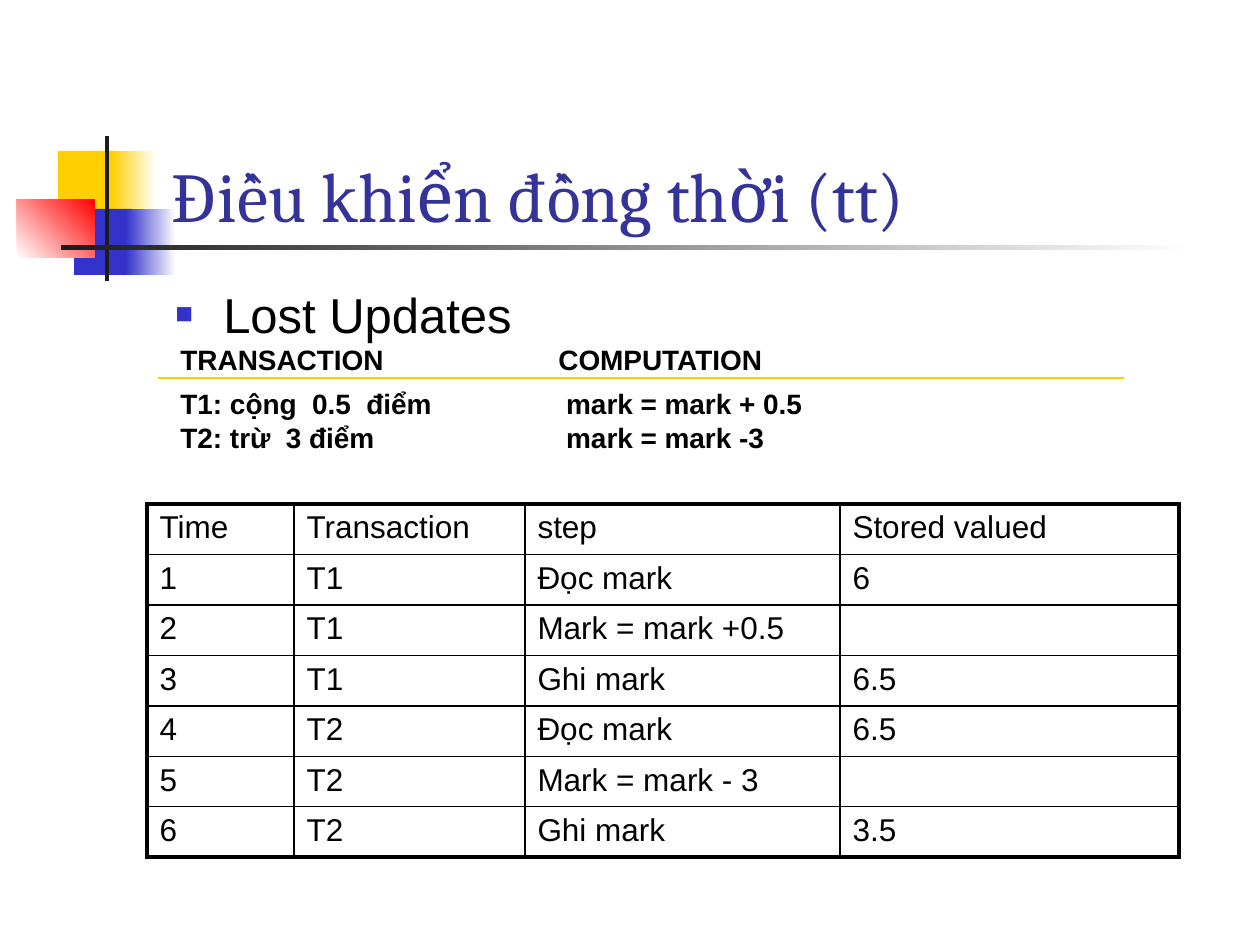
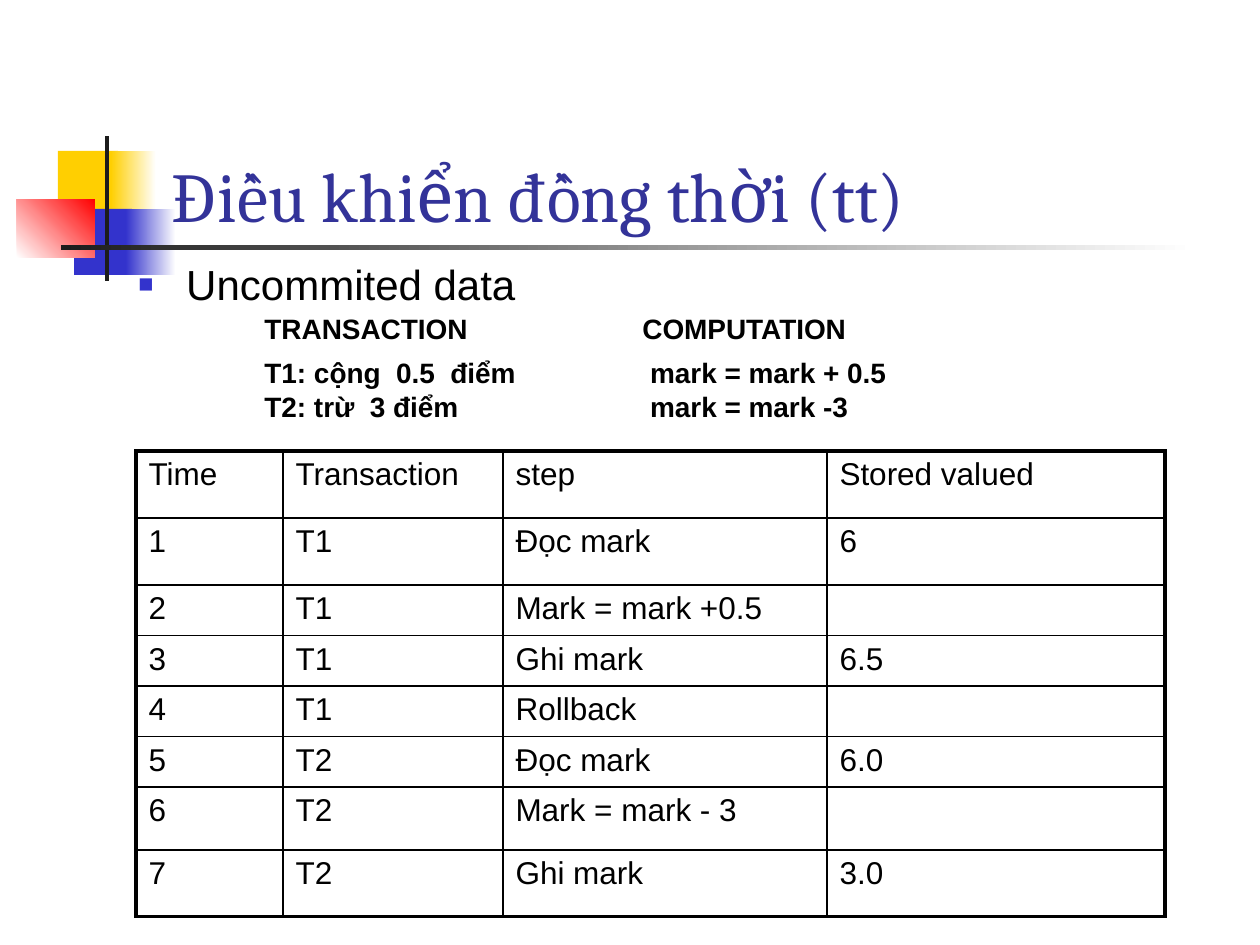
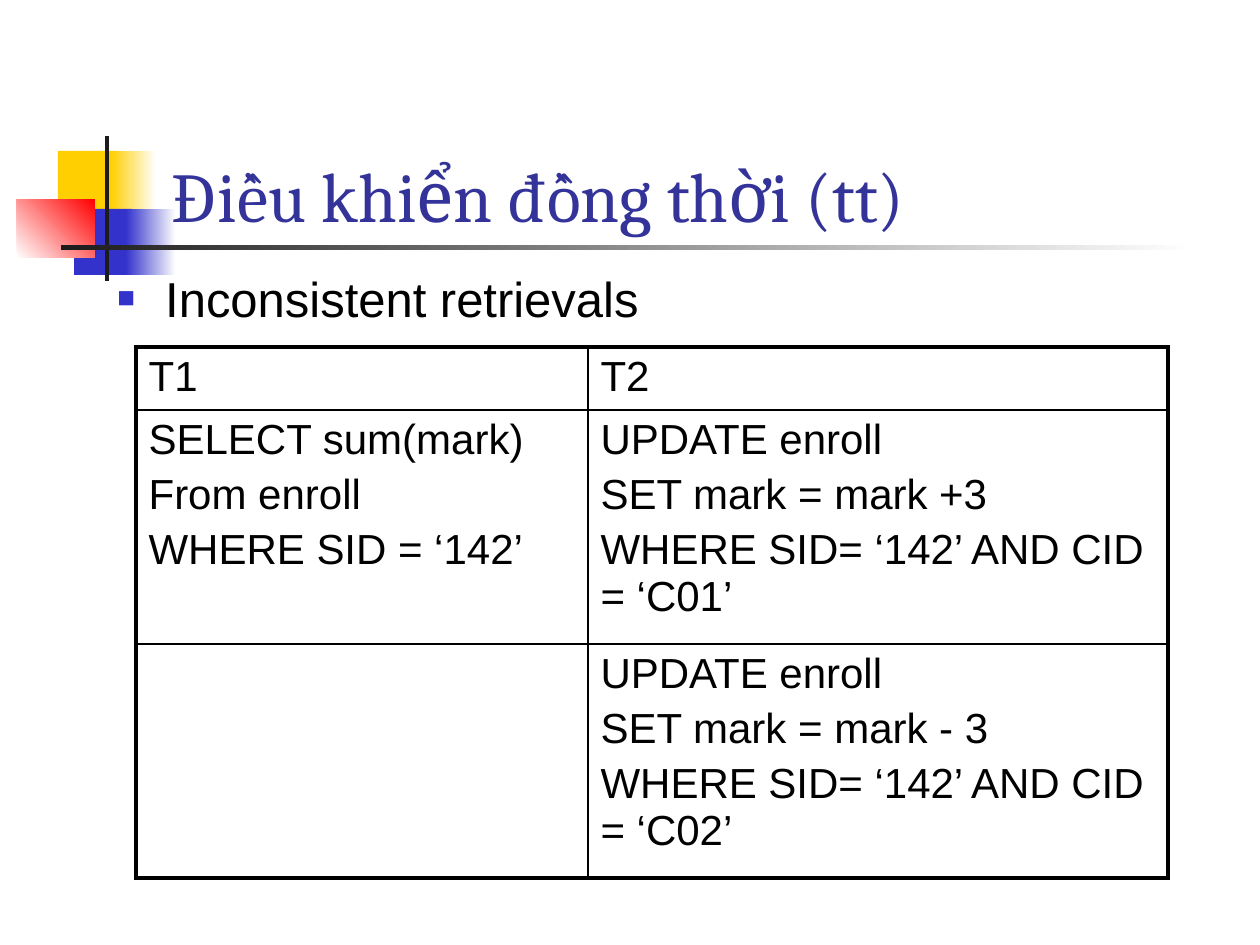
"""Build three slides on concurrency control problems."""
from lxml.etree import SubElement
from pptx import Presentation
from pptx.dml.color import RGBColor
from pptx.enum.shapes import MSO_CONNECTOR, MSO_SHAPE
from pptx.enum.text import MSO_ANCHOR, MSO_AUTO_SIZE, PP_ALIGN
from pptx.oxml.ns import qn
from pptx.util import Inches, Pt

PX_PER_INCH = 126
BLACK, WHITE, DARK = "000000", "FFFFFF", "1C1C1C"
YELLOW, BLUE, RED, TITLE_BLUE = "FFCF01", "3333CC", "FF0000", "333399"
TITLE = "Điều khiển đồng thời (tt)"
HEADINGS = ["Time", "Transaction", "step", "Stored valued"]
THIN, THICK = 1, 2.25


def px(length):
    return Inches(length / PX_PER_INCH)


def rgb(value):
    return RGBColor.from_string(value)


class SlideBuilder:
    def __init__(self):
        self.deck = Presentation()
        self.deck.slide_width, self.deck.slide_height = Inches(10), Inches(7.5)
        self.slide = None

    def add_slide(self):
        self.slide = self.deck.slides.add_slide(self.deck.slide_layouts[5])
        title = self.slide.shapes.title
        title.left, title.top, title.width, title.height = map(px, (159, 86, 1073, 157))
        frame = title.text_frame
        frame.vertical_anchor = MSO_ANCHOR.BOTTOM
        frame.auto_size = MSO_AUTO_SIZE.NONE
        self.set_text(frame, TITLE, 40, color=TITLE_BLUE, font="Cambria")

    def set_text(self, frame, text, size, color=BLACK, font="Arial", bold=False, before=0):
        frame.text = text
        frame.word_wrap = True
        for para in frame.paragraphs:
            para.alignment = PP_ALIGN.LEFT
            para.space_before = Pt(before)
            for span in para.runs:
                span.font.size = Pt(size)
                span.font.name = font
                span.font.bold = bold
                span.font.color.rgb = rgb(color)

    def master_band(self, left, top, width, height, start, end=None, angle=0):
        band = self.slide.shapes.add_shape(
            MSO_SHAPE.RECTANGLE, *map(px, (left, top, width, height)))
        band.shadow.inherit = False
        band.line.fill.background()
        if end:
            band.fill.gradient()
            band.fill.gradient_angle = angle
            for stop, color in zip(band.fill.gradient_stops, (start, end)):
                stop.color.rgb = rgb(color)
        else:
            band.fill.solid()
            band.fill.fore_color.rgb = rgb(start)
        master_tree = self.deck.slide_master.shapes.element
        band.element.nvSpPr.cNvPr.id = 100 + len(master_tree)
        master_tree.append(band.element)

    def decorate_master(self):
        self.master_band(58, 151, 60, 66, YELLOW)
        self.master_band(111, 151, 45, 66, YELLOW, WHITE)
        self.master_band(74, 209, 58, 66, BLUE)
        self.master_band(126, 209, 50, 66, BLUE, WHITE)
        self.master_band(17, 199, 78, 59, WHITE, RED, angle=45)
        self.master_band(105, 136, 4, 145, DARK)
        self.master_band(61, 245, 1134, 5, DARK, WHITE)

    def text_box(self, left, top, width, height, text, size, **style):
        box = self.slide.shapes.add_textbox(*map(px, (left, top, width, height)))
        self.set_text(box.text_frame, text, size, **style)
        return box

    def bullet(self, left, top, width, text, size):
        box = self.text_box(left, top, width, 567, text, size, before=size * 0.2)
        properties = box.text_frame.paragraphs[0]._p.get_or_add_pPr()
        properties.set("marL", str(Inches(0.38)))
        properties.set("indent", str(-Inches(0.38)))
        color = SubElement(properties, qn("a:buClr"))
        SubElement(color, qn("a:srgbClr"), val=BLUE)
        SubElement(properties, qn("a:buSzPct"), val="60000")
        SubElement(properties, qn("a:buFont"), typeface="Arial")
        SubElement(properties, qn("a:buChar"), char="■")

    def transactions(self, left, top):
        text = ("TRANSACTION\tCOMPUTATION\n"
                "T1: cộng  0.5  điểm\t mark = mark + 0.5\n"
                "T2: trừ  3 điểm\t mark = mark -3")
        box = self.text_box(left, top, 798, 161, text, 16, bold=True)
        box.text_frame.auto_size = MSO_AUTO_SIZE.SHAPE_TO_FIT_TEXT
        box.text_frame.paragraphs[0].space_after = Pt(6.4)
        for para in box.text_frame.paragraphs:
            tabs = SubElement(para._p.get_or_add_pPr(), qn("a:tabLst"))
            SubElement(tabs, qn("a:tab"), pos=str(Inches(3)), algn="l")

    def rule(self, left, right, y):
        line = self.slide.shapes.add_connector(
            MSO_CONNECTOR.STRAIGHT, *map(px, (left, y, right, y)))
        line.line.color.rgb = rgb(YELLOW)
        line.line.width = Pt(1)
        SubElement(line.element.spPr, qn("a:effectLst"))

    def border(self, cell, side, width):
        line = SubElement(cell._tc.get_or_add_tcPr(), qn(f"a:ln{side}"), w=str(Pt(width)))
        fill = SubElement(line, qn("a:solidFill"))
        SubElement(fill, qn("a:srgbClr"), val=BLACK)

    def table(self, left, top, widths, heights, rows, size):
        frame = self.slide.shapes.add_table(
            len(rows), len(widths), *map(px, (left, top, sum(widths), sum(heights))))
        table = frame.table
        table.first_row = table.horz_banding = False
        for column, width in zip(table.columns, widths):
            column.width = px(width)
        last_row, last_column = len(rows) - 1, len(widths) - 1
        for r, (texts, height) in enumerate(zip(rows, heights)):
            table.rows[r].height = px(height)
            for c, text in enumerate(texts):
                cell = table.cell(r, c)
                self.set_text(cell.text_frame, text, size, before=size * 0.2)
                outer = {"L": c == 0, "R": c == last_column, "T": r == 0, "B": r == last_row}
                for side, is_outer in outer.items():
                    self.border(cell, side, THICK if is_outer else THIN)
                cell.fill.background()


def main():
    builder = SlideBuilder()

    builder.add_slide()
    builder.decorate_master()
    builder.bullet(163, 278, 525, "Lost Updates", 28)
    builder.transactions(168, 336)
    builder.rule(158, 1124, 378)
    lost_updates = [
        HEADINGS,
        ["1", "T1", "Đọc mark", "6"],
        ["2", "T1", "Mark = mark +0.5", ""],
        ["3", "T1", "Ghi mark", "6.5"],
        ["4", "T2", "Đọc mark", "6.5"],
        ["5", "T2", "Mark = mark - 3", ""],
        ["6", "T2", "Ghi mark", "3.5"],
    ]
    builder.table(147, 504, [147, 231, 315, 339], [50] * 7, lost_updates, 18)

    builder.add_slide()
    builder.bullet(126, 252, 998, "Uncommited data", 24)
    builder.transactions(252, 305)
    uncommitted_data = [
        HEADINGS,
        ["1", "T1", "Đọc mark", "6"],
        ["2", "T1", "Mark = mark +0.5", ""],
        ["3", "T1", "Ghi mark", "6.5"],
        ["4", "T1", "Rollback", ""],
        ["5", "T2", "Đọc mark", "6.0"],
        ["6", "T2", "Mark = mark - 3", ""],
        ["7", "T2", "Ghi mark", "3.0"],
    ]
    heights = [67, 67, 50, 50, 50, 50, 63, 67]
    builder.table(136, 451, [147, 220, 324, 338], heights, uncommitted_data, 18)

    builder.add_slide()
    builder.bullet(105, 262, 766, "Inconsistent retrievals", 28)
    update = "UPDATE enroll\nSET mark = mark {}\nWHERE SID= ‘142’ AND CID = ‘{}’"
    retrievals = [
        ["T1", "T2"],
        ["SELECT sum(mark)\nFrom enroll\nWHERE SID = ‘142’", update.format("+3", "C01")],
        ["", update.format("- 3", "C02")],
    ]
    builder.table(136, 347, [452, 580], [63, 234, 234], retrievals, 24)

    builder.deck.save("out.pptx")


if __name__ == "__main__":
    main()
